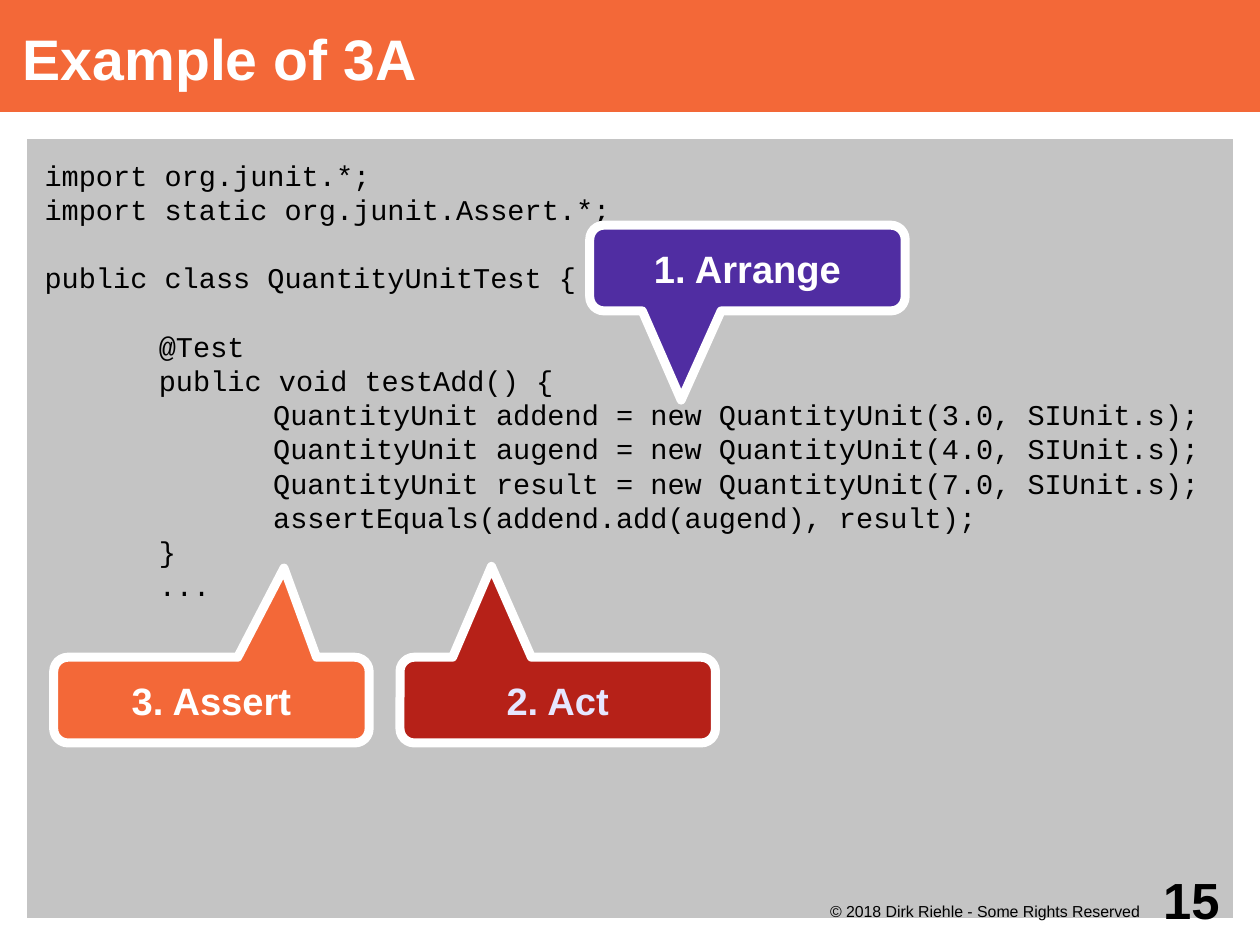
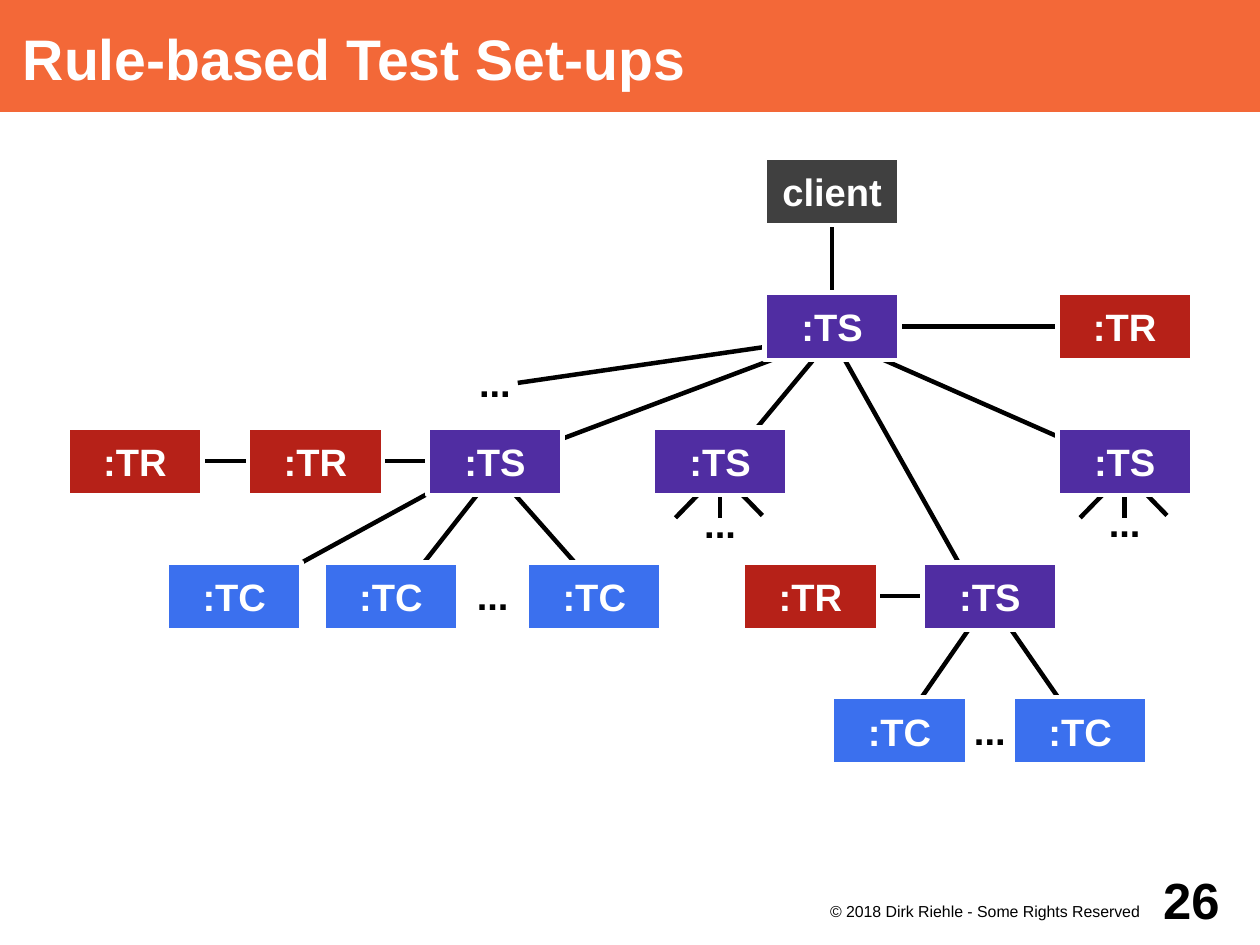
from lxml import etree
from pptx import Presentation
from pptx.dml.color import RGBColor
from pptx.enum.shapes import MSO_CONNECTOR, MSO_SHAPE
from pptx.enum.text import MSO_ANCHOR, PP_ALIGN
from pptx.oxml.ns import qn
from pptx.util import Inches, Pt

RECT = MSO_SHAPE.RECTANGLE
CALLOUT = MSO_SHAPE.ROUNDED_RECTANGULAR_CALLOUT
STRAIGHT = MSO_CONNECTOR.STRAIGHT
LEFT, CENTER, RIGHT = PP_ALIGN.LEFT, PP_ALIGN.CENTER, PP_ALIGN.RIGHT
TOP, MIDDLE = MSO_ANCHOR.TOP, MSO_ANCHOR.MIDDLE
SIDE_TOP, SIDE_LEFT, SIDE_BOTTOM, SIDE_RIGHT = range(4)

ORANGE, PURPLE, RED, BLUE = "F36838", "502DA2", "B62118", "3B70EE"
DARK, GREY, WHITE, BLACK, LILAC = "404040", "C4C4C4", "FFFFFF", "000000", "E6E6FF"

# The slide is 28 by 21 cm
SLIDE_W, SLIDE_H = 28 / 2.54, 21 / 2.54


def add_block(s, box, text, size, color, fill=None, preset=RECT, border=0,
              align=CENTER, anchor=MIDDLE, insets=(0.1, 0.05, 0.1, 0.05),
              bold=True, font="Arial", wrap=True):
    """Add a filled shape, or a text box when there is no fill."""
    place = [Inches(v) for v in box]
    if fill:
        sp = s.shapes.add_shape(preset, *place)
        sp.shadow.inherit = False
        sp.fill.solid()
        sp.fill.fore_color.rgb = RGBColor.from_string(fill)
        if border:
            sp.line.color.rgb = RGBColor.from_string(WHITE)
            sp.line.width = Pt(border)
        else:
            sp.line.fill.background()
    else:
        sp = s.shapes.add_textbox(*place)
    tf = sp.text_frame
    tf.word_wrap = wrap
    tf.vertical_anchor = anchor
    tf.margin_left, tf.margin_top, tf.margin_right, tf.margin_bottom = map(Inches, insets)
    tf.text = text
    for p in tf.paragraphs:
        p.alignment = align
        for r in p.runs:
            r.font.name, r.font.size, r.font.bold = font, Pt(size), bold
            r.font.color.rgb = RGBColor.from_string(color)
    return sp


def add_link(s, start=(0, 0), end=(0, 0)):
    """Add a black line behind everything else on the slide."""
    line = s.shapes.add_connector(STRAIGHT, *[Inches(v) for v in (*start, *end)])
    line.line.color.rgb = RGBColor.from_string(BLACK)
    line.line.width = Pt(2.83)
    etree.SubElement(line._element.spPr, qn("a:effectLst"))
    s.shapes._spTree.insert(2, line._element)
    return line


prs = Presentation()
prs.slide_width = Inches(SLIDE_W)
prs.slide_height = Inches(SLIDE_H)

# Title band of both slides
slides = []
for title in ("Example of 3A", "Rule-based Test Set-ups"):
    s = prs.slides.add_slide(prs.slide_layouts[6])
    add_block(s, (0, 0, SLIDE_W, 0.98), title, 36, WHITE, ORANGE,
              align=LEFT, insets=(0.2, 0.02, 0, 0))
    slides.append(s)
code_slide, tree_slide = slides

# Code listing; an empty line becomes space before the next one
CODE = """import org.junit.*;
import static org.junit.Assert.*;

public class QuantityUnitTest {

\t@Test
\tpublic void testAdd() {
\t\tQuantityUnit addend = new QuantityUnit(3.0, SIUnit.s);
\t\tQuantityUnit augend = new QuantityUnit(4.0, SIUnit.s);
\t\tQuantityUnit result = new QuantityUnit(7.0, SIUnit.s);
\t\tassertEquals(addend.add(augend), result);
\t}
\t..."""
LINE_PITCH = Pt(21.55)
listing = add_block(code_slide, (0.2, 1.18, 10.63, 6.89), CODE.replace("\n\n", "\n"),
                    18, BLACK, GREY, border=5.67, align=LEFT, anchor=TOP,
                    insets=(0.19, 0.2, 0.04, 0.04), bold=False, font="Courier New")
for p in listing.text_frame.paragraphs:
    tabs = etree.SubElement(p._p.get_or_add_pPr(), qn("a:tabLst"))
    for stop in (1, 2):
        etree.SubElement(tabs, qn("a:tab"), pos=str(Inches(stop)), algn="l")
    p.line_spacing = LINE_PITCH
    if "\n\n" + p.text in CODE:
        p.space_before = LINE_PITCH

# Callouts: position, label, text colour, fill, pointer tip
for left, top, label, color, fill, tip in (
        (5.16, 1.97, "1. Arrange", WHITE, PURPLE, (-0.21, 1.54)),
        (3.5, 5.75, "2. Act", LILAC, RED, (-0.21, -1.56)),
        (0.47, 5.75, "3. Assert", WHITE, ORANGE, (0.23, -1.54))):
    sp = add_block(code_slide, (left, top, 2.76, 0.75), label, 24, color, fill,
                   preset=CALLOUT, border=5.67, insets=(0.1,) * 4, wrap=False)
    sp.adjustments[0], sp.adjustments[1] = tip

# Object tree: name, label, fill, left, row
NODE_W, NODE_H, ROW_TOP, ROW_PITCH = 1.18, 0.59, 1.38, 1.18
nodes = {}
for name, label, fill, left, row in (
        ("client", "client", DARK, 6.69, 0),
        ("root", ":TS", PURPLE, 6.69, 1),
        ("root rule", ":TR", RED, 9.25, 1),
        ("outer rule", ":TR", RED, 0.59, 2),
        ("inner rule", ":TR", RED, 2.17, 2),
        ("left suite", ":TS", PURPLE, 3.74, 2),
        ("middle suite", ":TS", PURPLE, 5.71, 2),
        ("right suite", ":TS", PURPLE, 9.25, 2),
        ("case 1", ":TC", BLUE, 1.46, 3),
        ("case 2", ":TC", BLUE, 2.83, 3),
        ("case n", ":TC", BLUE, 4.61, 3),
        ("low rule", ":TR", RED, 6.5, 3),
        ("low suite", ":TS", PURPLE, 8.07, 3),
        ("low case 1", ":TC", BLUE, 7.28, 4),
        ("low case n", ":TC", BLUE, 8.86, 4)):
    box = (left, ROW_TOP + row * ROW_PITCH, NODE_W, NODE_H)
    nodes[name] = add_block(tree_slide, box, label, 24, WHITE, fill, border=2.83)

# Links joined to the middles of sides
for a, side_a, b, side_b in (
        ("client", SIDE_BOTTOM, "root", SIDE_TOP),
        ("root", SIDE_RIGHT, "root rule", SIDE_LEFT),
        ("outer rule", SIDE_RIGHT, "inner rule", SIDE_LEFT),
        ("inner rule", SIDE_RIGHT, "left suite", SIDE_LEFT),
        ("low rule", SIDE_RIGHT, "low suite", SIDE_LEFT)):
    line = add_link(tree_slide)
    line.begin_connect(nodes[a], side_a)
    line.end_connect(nodes[b], side_b)

# Slanted links spread from a hub hidden behind each suite
FAN = ((-0.39, 0.4), (0, 0.4), (0.37, 0.38))
fans = [((x, 4.13), [(x + dx, 4.13 + dy) for dx, dy in FAN]) for x in (6.3, 9.84)]
for hub, ends in (
        ((7.28, 2.95), [(4.33, 4.06), (6.3, 4.13), (8.56, 5.23), (9.8, 4.06), (4.53, 3.35)]),
        ((4.33, 4.13), [(3.46, 5.24), (5.24, 5.16)]),
        ((4.29, 4.02), [(2.13, 5.2)]),
        ((8.66, 5.24), [(7.87, 6.38), (9.45, 6.38)]),
        *fans):
    for end in ends:
        add_link(tree_slide, hub, end)

# Ellipses, by centre
DOTS_W, DOTS_H = 0.79, 0.59
for x, y in ((4.33, 3.34), (6.3, 4.58), (9.84, 4.57), (4.31, 5.21), (8.66, 6.39)):
    add_block(tree_slide, (x - DOTS_W / 2, y - DOTS_H / 2, DOTS_W, DOTS_H), "...", 24, BLACK)

# Footer and slide number
for s, number in ((code_slide, "15"), (tree_slide, "26")):
    add_block(s, (7.09, 7.87, 3.15, 0.39), "© 2018 Dirk Riehle - Some Rights Reserved",
              10, BLACK, align=RIGHT, anchor=TOP, insets=(0, 0.02, 0.27, 0), bold=False)
    add_block(s, (10.04, 7.48, 0.98, 0.79), number, 32, BLACK,
              align=RIGHT, insets=(0, 0, 0.35, 0.02))

prs.save("out.pptx")
